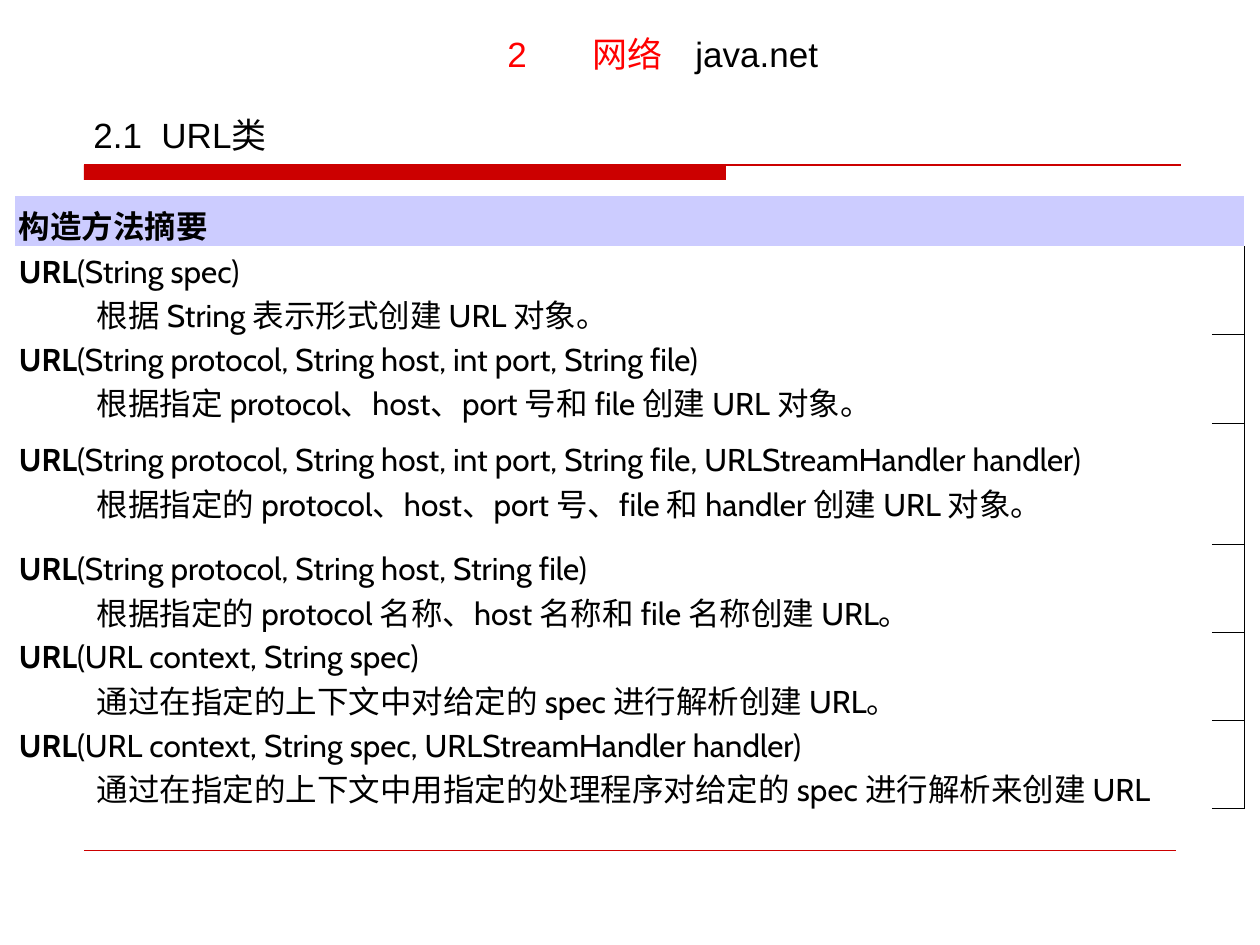
from dataclasses import dataclass
from typing import NamedTuple

from lxml.etree import SubElement
from pptx import Presentation
from pptx.dml.color import RGBColor
from pptx.enum.shapes import MSO_CONNECTOR, MSO_SHAPE
from pptx.enum.text import MSO_ANCHOR
from pptx.oxml.ns import qn
from pptx.util import Emu, Pt


@dataclass(frozen=True)
class Theme:
    red: str = "CC0000"
    mark: str = "FF0000"
    ink: str = "000000"
    head: str = "CCCCFF"
    paper: str = "FFFFFF"
    title: int = 20
    body: int = 18
    sans: str = "Arial"
    text: str = "Cabin"


class Run(NamedTuple):
    text: str
    color: str


class Label(NamedTuple):
    left: int
    top: int
    width: int
    height: int
    stops: tuple[int, ...]
    runs: tuple[Run, ...]


class Rule(NamedTuple):
    left: int
    right: int
    top: int
    weight: float


class Entry(NamedTuple):
    height: int
    params: str
    about: str


THEME = Theme()
SCALE = 914400 / 126
PLAIN = "{2D5ABB26-0587-4C30-8999-92F81FD0307C}"
INDENT = 78

LABELS = (
    Label(495, 26, 336, 56, (85, 188), (
        Run("2\t网络\t", THEME.mark), Run("java.net", THEME.ink))),
    Label(81, 107, 207, 56, (68,), (Run("2.1\tURL类", THEME.ink),)),
)
RULES = (Rule(84, 1181, 165, 0.75), Rule(84, 1176, 850, 0.25))
ENTRIES = (
    Entry(83, "(String spec)", "根据 String 表示形式创建 URL 对象。"),
    Entry(83, "(String protocol, String host, int port, String file)",
          "根据指定 protocol、host、port 号和 file 创建 URL 对象。"),
    Entry(121, "(String protocol, String host, int port, String file, "
          "URLStreamHandler handler)",
          "根据指定的 protocol、host、port 号、file 和 handler 创建 URL 对象。"),
    Entry(83, "(String protocol, String host, String file)",
          "根据指定的 protocol 名称、host 名称和 file 名称创建 URL。"),
    Entry(83, "(URL context, String spec)",
          "通过在指定的上下文中对给定的 spec 进行解析创建 URL。"),
    Entry(83, "(URL context, String spec, URLStreamHandler handler)",
          "通过在指定的上下文中用指定的处理程序对给定的 spec 进行解析来创建 URL"),
)


def px(count: int) -> Emu:
    return Emu(round(count * SCALE))


def rgb(code: str) -> RGBColor:
    return RGBColor.from_string(code)


def write(para, text: str, *, size: int = THEME.body, face: str = THEME.text,
          color: str = THEME.ink, bold: bool = False) -> None:
    run = para.add_run()
    run.text = text
    font = run.font
    font.size, font.name, font.bold = Pt(size), face, bold
    font.color.rgb = rgb(color)


def draw_label(slide, label: Label) -> None:
    box = slide.shapes.add_textbox(
        px(label.left), px(label.top), px(label.width), px(label.height))
    frame = box.text_frame
    frame.word_wrap = True
    frame.margin_right = 0
    para = frame.paragraphs[0]
    tabs = SubElement(para._p.get_or_add_pPr(), qn("a:tabLst"))
    for stop in label.stops:
        SubElement(tabs, qn("a:tab"), pos=str(px(stop)), algn="l")
    for run in label.runs:
        write(para, run.text, size=THEME.title, face=THEME.sans, color=run.color)


def draw_rule(slide, rule: Rule) -> None:
    line = slide.shapes.add_connector(
        MSO_CONNECTOR.STRAIGHT, px(rule.left), px(rule.top),
        px(rule.right), px(rule.top))
    line.line.color.rgb = rgb(THEME.red)
    line.line.width = Pt(rule.weight)
    SubElement(line._element.spPr, qn("a:effectLst"))


def draw_bar(slide) -> None:
    bar = slide.shapes.add_shape(
        MSO_SHAPE.RECTANGLE, px(84), px(165), px(642), px(15))
    bar.shadow.inherit = False
    bar.fill.solid()
    bar.fill.fore_color.rgb = rgb(THEME.red)
    bar.line.fill.background()


def style_cell(cell, color: str) -> None:
    cell.fill.solid()
    cell.fill.fore_color.rgb = rgb(color)
    cell.vertical_anchor = MSO_ANCHOR.MIDDLE
    cell.margin_left = cell.margin_right = px(4)


def edge_cell(cell, sides: str) -> None:
    props = cell._tc.get_or_add_tcPr()
    for side in sides:
        edge = SubElement(props, qn(f"a:ln{side}"), w=str(Pt(0.45)))
        fill = SubElement(edge, qn("a:solidFill"))
        SubElement(fill, qn("a:srgbClr"), val=THEME.ink)
    cell.fill.background()


def draw_table(slide) -> None:
    heights = [45] + [entry.height for entry in ENTRIES]
    widths = (1197, 32)
    table = slide.shapes.add_table(
        len(heights), len(widths), px(15), px(196),
        px(sum(widths)), px(sum(heights))).table
    table._tbl.tblPr[0].text = PLAIN
    table.first_row = table.horz_banding = False
    for col, width in zip(table.columns, widths):
        col.width = px(width)
    for row, height in zip(table.rows, heights):
        row.height = px(height)
    head = table.cell(0, 0)
    head.merge(table.cell(0, 1))
    style_cell(head, THEME.head)
    write(head.text_frame.paragraphs[0], "构造方法摘要", bold=True)
    for index, entry in enumerate(ENTRIES, 1):
        cell = table.cell(index, 0)
        style_cell(cell, THEME.paper)
        first = cell.text_frame.paragraphs[0]
        write(first, "URL", bold=True)
        write(first, entry.params)
        about = cell.text_frame.add_paragraph()
        about._p.get_or_add_pPr().set("marL", str(px(INDENT)))
        write(about, entry.about)
        edge_cell(table.cell(index, 1), "RB" if index == 1 else "RTB")


def main() -> None:
    deck = Presentation()
    deck.slide_width, deck.slide_height = px(1260), px(945)
    slide = deck.slides.add_slide(deck.slide_layouts[6])
    draw_bar(slide)
    for rule in RULES:
        draw_rule(slide, rule)
    for label in LABELS:
        draw_label(slide, label)
    draw_table(slide)
    deck.save("out.pptx")


if __name__ == "__main__":
    main()
